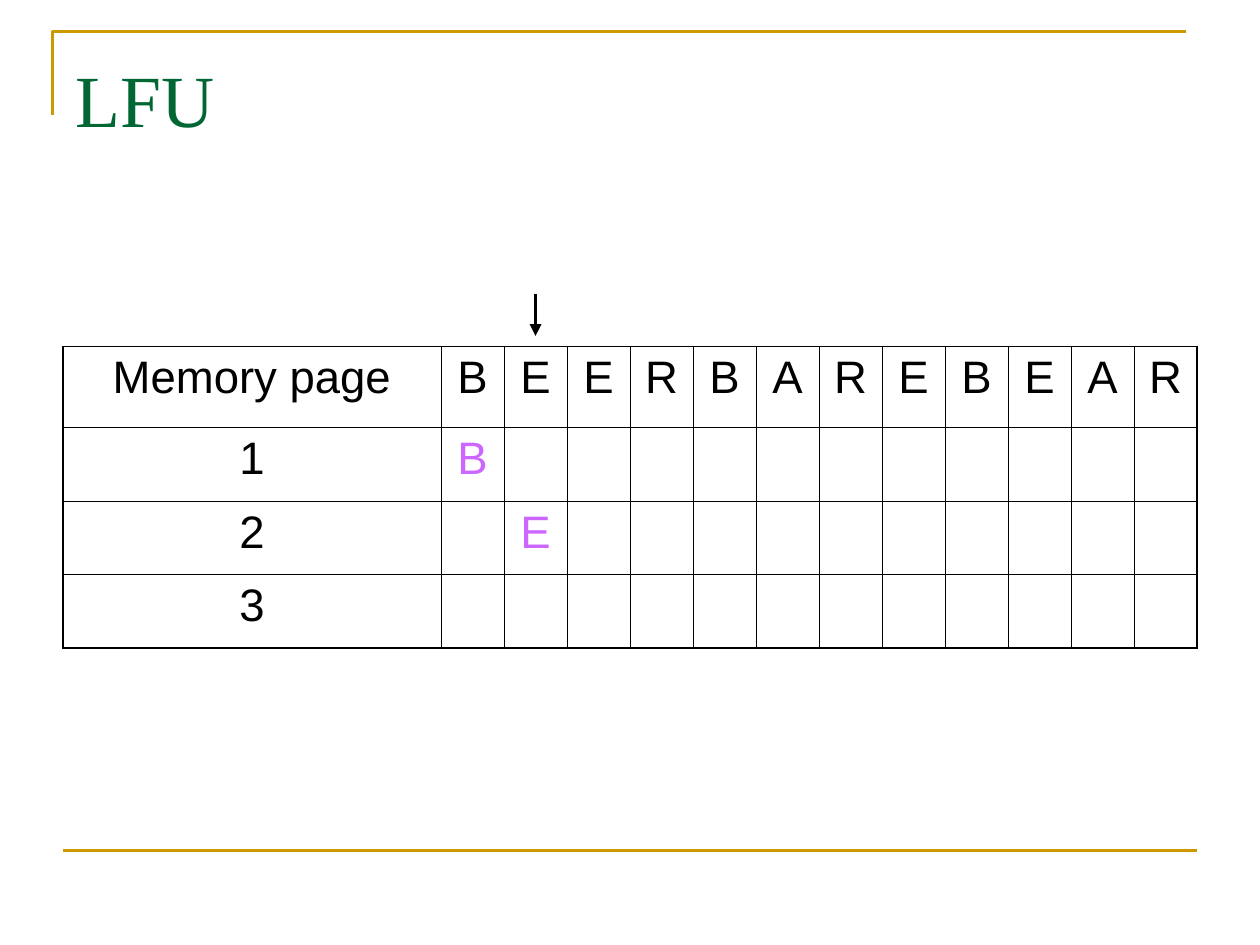
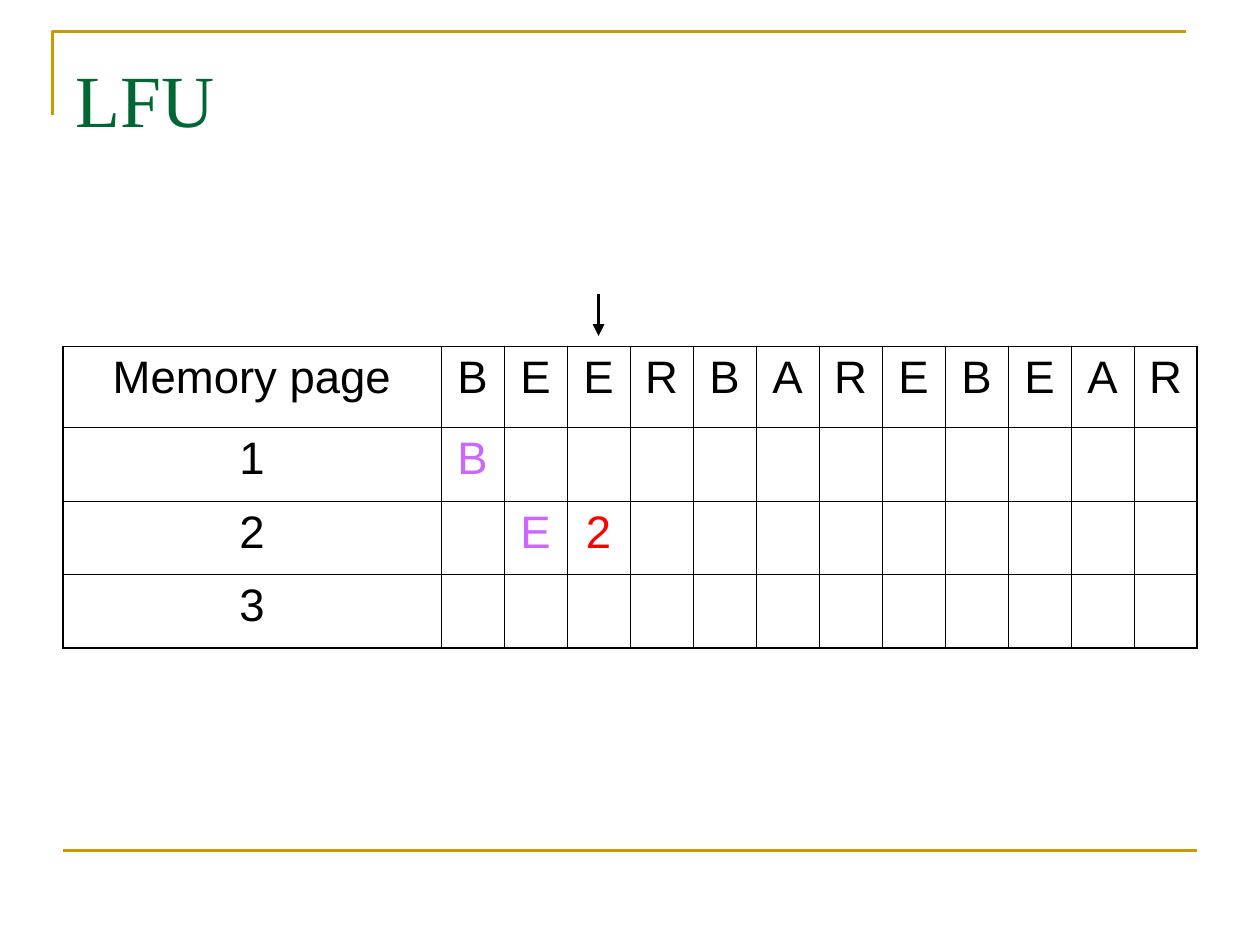
from lxml.etree import SubElement
from pptx import Presentation
from pptx.dml.color import RGBColor as RGB
from pptx.enum.shapes import MSO_CONNECTOR as Connector
from pptx.enum.text import MSO_ANCHOR as Anchor, PP_ALIGN as Align
from pptx.oxml.ns import qn
from pptx.util import Pt

COLORS = {"rule": "CC9900", "title": "006633", "ink": "000000",
          "loaded": "CC66FF", "hit": "FF0000"}
TITLE_FONT = {"name": "Times New Roman", "size": Pt(42)}
CELL_FONT = {"name": "Arial", "size": Pt(26)}
OUTER, INNER = 1.08, 0.45
TABLE_LEFT, TABLE_TOP = 36, 198
LABEL_WIDTH, STEP_WIDTH = 216, 36
ROW_HEIGHTS = [46.25, 42, 42, 42]
HEADINGS = ["Memory page", *"BEERBAREBEAR"]

first_load = {(1, 1): ("B", "loaded"), (2, 2): ("E", "loaded")}
steps = [
    (2, first_load),
    (3, {**first_load, (2, 3): ("2", "hit")}),
]


def style_font(font, values, color):
    for key, value in values.items():
        setattr(font, key, value)
    font.color.rgb = RGB.from_string(COLORS[color])


def draw_line(slide, start, end, color, width):
    line = slide.shapes.add_connector(Connector.STRAIGHT, *map(Pt, start + end))
    line.line.color.rgb = RGB.from_string(COLORS[color])
    line.line.width = Pt(width)
    SubElement(line.element.spPr, qn("a:effectLst"))
    return line


prs = Presentation()
prs.slide_width, prs.slide_height = Pt(720), Pt(540)

for current, memory in steps:
    slide = prs.slides.add_slide(prs.slide_layouts[6])

    outline = slide.shapes.build_freeform(Pt(30), Pt(66))
    outline.add_line_segments([(Pt(30), Pt(18)), (Pt(678), Pt(18))], close=False)
    corner = outline.convert_to_shape()
    corner.shadow.inherit = False
    corner.fill.background()
    corner.line.color.rgb = RGB.from_string(COLORS["rule"])
    corner.line.width = Pt(1.5)
    draw_line(slide, (36, 486), (684, 486), "rule", 1.5)

    title = slide.shapes.add_textbox(Pt(36), Pt(21.6), Pt(648), Pt(90)).text_frame
    title.word_wrap = True
    title.vertical_anchor = Anchor.TOP
    title.margin_top = Pt(9)
    title.text = "LFU"
    style_font(title.paragraphs[0].runs[0].font, TITLE_FONT, "title")

    last_row, last_col = len(ROW_HEIGHTS) - 1, len(HEADINGS) - 1
    pages = slide.shapes.add_table(
        last_row + 1, last_col + 1, Pt(TABLE_LEFT), Pt(TABLE_TOP),
        Pt(LABEL_WIDTH + STEP_WIDTH * last_col), Pt(sum(ROW_HEIGHTS))).table
    pages.first_row = pages.horz_banding = False
    for col, column in enumerate(pages.columns):
        column.width = Pt(STEP_WIDTH if col else LABEL_WIDTH)

    for row, height in enumerate(ROW_HEIGHTS):
        pages.rows[row].height = Pt(height)
        for col, heading in enumerate(HEADINGS):
            cell = pages.cell(row, col)
            if row == 0:
                text, color = heading, "ink"
            elif col == 0:
                text, color = str(row), "ink"
            else:
                text, color = memory.get((row, col), ("", "ink"))
            cell.text = text
            entry = cell.text_frame.paragraphs[0]
            entry.alignment = Align.CENTER
            style_font(entry.font, CELL_FONT, color)
            for run in entry.runs:
                style_font(run.font, CELL_FONT, color)

            edges = {"L": col == 0, "R": col == last_col,
                     "T": row == 0, "B": row == last_row}
            cell_format = cell._tc.get_or_add_tcPr()
            for side, is_outer in edges.items():
                border = SubElement(cell_format, qn(f"a:ln{side}"),
                                    w=str(Pt(OUTER if is_outer else INNER)))
                fill = SubElement(border, qn("a:solidFill"))
                SubElement(fill, qn("a:srgbClr"), val=COLORS["ink"])
            cell.fill.background()

    pointer_x = TABLE_LEFT + LABEL_WIDTH + STEP_WIDTH * (current - 0.5)
    pointer = draw_line(slide, (pointer_x, 168), (pointer_x, 192), "ink", 2.25)
    SubElement(pointer.line._get_or_add_ln(), qn("a:tailEnd"), type="triangle")

prs.save("out.pptx")
